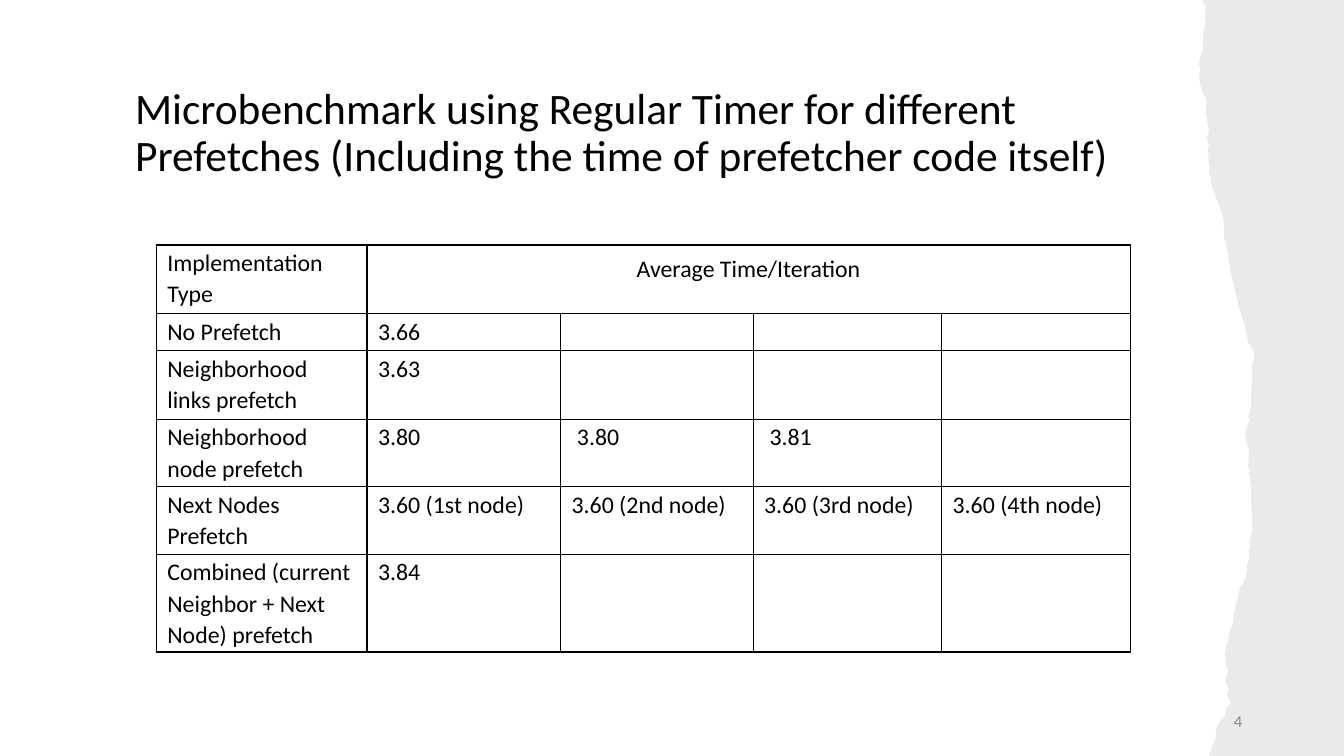
from dataclasses import dataclass

from lxml.etree import SubElement
from pptx import Presentation
from pptx.dml.color import RGBColor
from pptx.enum.text import MSO_ANCHOR as Anchor, MSO_AUTO_SIZE as AutoSize, PP_ALIGN as Align
from pptx.oxml import parse_xml
from pptx.oxml.ns import nsdecls, qn
from pptx.util import Inches, Pt

TITLE = "Microbenchmark using Regular Timer for different Prefetches (Including the time of prefetcher code itself)"
PAGE_NUMBER = "4"
TABLE_ROWS = [
    ["Implementation Type", "Average Time/Iteration"],
    ["No Prefetch", "3.66"],
    ["Neighborhood links prefetch", "3.63"],
    ["Neighborhood node prefetch", "3.80", " 3.80", " 3.81"],
    ["Next Nodes Prefetch", "3.60 (1st node)", "3.60 (2nd node)", "3.60 (3rd node)", "3.60 (4th node)"],
    ["Combined (current Neighbor + Next Node) prefetch", "3.84"],
]
COLUMN_WIDTHS = [2.09, 1.92, 1.91, 1.87, 1.87]
ROW_HEIGHTS = [0.68, 0.37, 0.68, 0.67, 0.67, 0.97]
SLIDE_WIDTH, SLIDE_HEIGHT = 13.33, 7.5
TORN_EDGE = [
    (11.99, 7.5), (12.02, 7.41), (12.04, 7.37), (12.06, 7.32), (12.06, 7.26), (12.07, 7.21),
    (12.09, 7.17), (12.15, 7.1), (12.16, 7.03), (12.21, 6.98), (12.19, 6.93), (12.17, 6.9),
    (12.17, 6.87), (12.19, 6.84), (12.16, 6.78), (12.16, 6.73), (12.18, 6.65), (12.16, 6.59),
    (12.15, 6.48), (12.2, 6.25), (12.23, 6.19), (12.24, 6.08), (12.27, 5.95), (12.28, 5.9),
    (12.3, 5.83), (12.34, 5.77), (12.36, 5.71), (12.37, 5.64), (12.37, 5.6), (12.39, 5.54),
    (12.39, 5.46), (12.4, 5.41), (12.39, 5.39), (12.41, 5.31), (12.42, 5.23), (12.42, 5.13),
    (12.41, 5.01), (12.41, 4.86), (12.4, 4.78), (12.38, 4.61), (12.39, 4.47), (12.37, 4.41),
    (12.35, 4.3), (12.36, 4.27), (12.39, 4.17), (12.38, 4.13), (12.4, 4.09), (12.41, 4.02),
    (12.41, 3.87), (12.42, 3.76), (12.42, 3.62), (12.44, 3.55), (12.44, 3.52), (12.43, 3.48),
    (12.4, 3.42), (12.38, 3.4), (12.35, 3.24), (12.28, 3.02), (12.23, 2.79), (12.21, 2.72),
    (12.2, 2.68), (12.19, 2.6), (12.17, 2.47), (12.16, 2.4), (12.14, 2.36), (12.14, 2.24),
    (12.13, 2.15), (12.11, 2.08), (12.09, 2.04), (12.04, 1.9), (12.01, 1.82), (12.01, 1.77),
    (11.99, 1.71), (12, 1.66), (11.99, 1.62), (11.98, 1.5), (11.99, 1.43), (11.97, 1.38),
    (11.99, 1.3), (11.98, 1.25), (11.97, 1.19), (11.96, 1.11), (11.96, 1.04), (11.97, 1.01),
    (11.96, 0.98), (11.92, 0.9), (11.9, 0.82), (11.89, 0.75), (11.91, 0.68), (11.89, 0.64),
    (11.9, 0.59), (11.93, 0.49), (11.93, 0.39), (11.94, 0.3), (11.96, 0.23), (11.95, 0.16),
    (11.96, 0.06), (11.92, 0),
]


@dataclass(frozen=True)
class Theme:
    font: str = "Calibri"
    text: str = "000000"
    muted: str = "8C8C8C"
    paper: str = "82766A"
    paper_opacity: int = 15
    title_size: int = 31
    table_size: int = 17
    number_size: int = 12
    border: float = 1


THEME = Theme()


def place(shape, left, top, width, height):
    shape.left, shape.top = Inches(left), Inches(top)
    shape.width, shape.height = Inches(width), Inches(height)


def style(paragraph, size, color=THEME.text, align=Align.LEFT, spacing=1.0):
    paragraph.alignment, paragraph.line_spacing = align, spacing
    font = paragraph.font
    font.name, font.size = THEME.font, Pt(size)
    font.color.rgb = RGBColor.from_string(color)


def add_torn_paper(slide):
    points = [(Inches(x), Inches(y)) for x, y in [(SLIDE_WIDTH, 0), (SLIDE_WIDTH, SLIDE_HEIGHT), *TORN_EDGE]]
    builder = slide.shapes.build_freeform(*points[0])
    builder.add_line_segments(points[1:], close=True)
    paper = builder.convert_to_shape()
    paper.shadow.inherit = False
    paper.line.fill.background()
    paper.fill.solid()
    paper.fill.fore_color.rgb = RGBColor.from_string(THEME.paper)
    color = next(paper._element.spPr.iter(qn("a:srgbClr")))
    SubElement(color, qn("a:alpha"), val=str(THEME.paper_opacity * 1000))


def add_borders(cell):
    properties = cell._tc.get_or_add_tcPr()
    for side in ("L", "R", "T", "B"):
        properties.append(parse_xml(
            f'<a:ln{side} {nsdecls("a")} w="{Pt(THEME.border)}"><a:solidFill>'
            f'<a:srgbClr val="{THEME.text}"/></a:solidFill></a:ln{side}>'))


def add_results_table(slide):
    frame = slide.shapes.add_table(
        len(ROW_HEIGHTS), len(COLUMN_WIDTHS), Inches(1.55), Inches(2.43),
        Inches(sum(COLUMN_WIDTHS)), Inches(sum(ROW_HEIGHTS)))
    table = frame.table
    table.first_row = table.horz_banding = False
    for column, width in zip(table.columns, COLUMN_WIDTHS):
        column.width = Inches(width)
    for row, height, texts in zip(table.rows, ROW_HEIGHTS, TABLE_ROWS):
        row.height = Inches(height)
        for index, cell in enumerate(row.cells):
            add_borders(cell)
            cell.fill.background()
            cell.margin_left = cell.margin_right = Inches(0.11)
            cell.margin_top, cell.margin_bottom = Inches(0.02), 0
            if index < len(texts):
                cell.text = texts[index]
            style(cell.text_frame.paragraphs[0], THEME.table_size, spacing=1.07)
    heading = table.cell(0, 1)
    heading.merge(table.cell(0, len(COLUMN_WIDTHS) - 1))
    heading.margin_left = heading.margin_right = Inches(0.15)
    heading.margin_top = heading.margin_bottom = Inches(0.08)
    heading.text_frame.paragraphs[0].alignment = Align.CENTER


def main():
    """Build the prefetch benchmark slide."""
    presentation = Presentation()
    presentation.slide_width, presentation.slide_height = Inches(SLIDE_WIDTH), Inches(SLIDE_HEIGHT)
    slide = presentation.slides.add_slide(presentation.slide_layouts[5])

    title = slide.shapes.title
    place(title, 1.24, 0.81, 10.09, 1.04)
    title.text_frame.text = TITLE
    title.text_frame.auto_size = AutoSize.NONE
    title.text_frame.vertical_anchor = Anchor.MIDDLE
    style(title.text_frame.paragraphs[0], THEME.title_size, spacing=0.9)

    add_torn_paper(slide)
    add_results_table(slide)

    number = slide.shapes.add_textbox(Inches(9.42), Inches(6.95), Inches(3), Inches(0.4))
    number.text_frame.text = PAGE_NUMBER
    number.text_frame.word_wrap = True
    number.text_frame.vertical_anchor = Anchor.MIDDLE
    style(number.text_frame.paragraphs[0], THEME.number_size, THEME.muted, Align.RIGHT)

    presentation.save("out.pptx")


if __name__ == "__main__":
    main()
